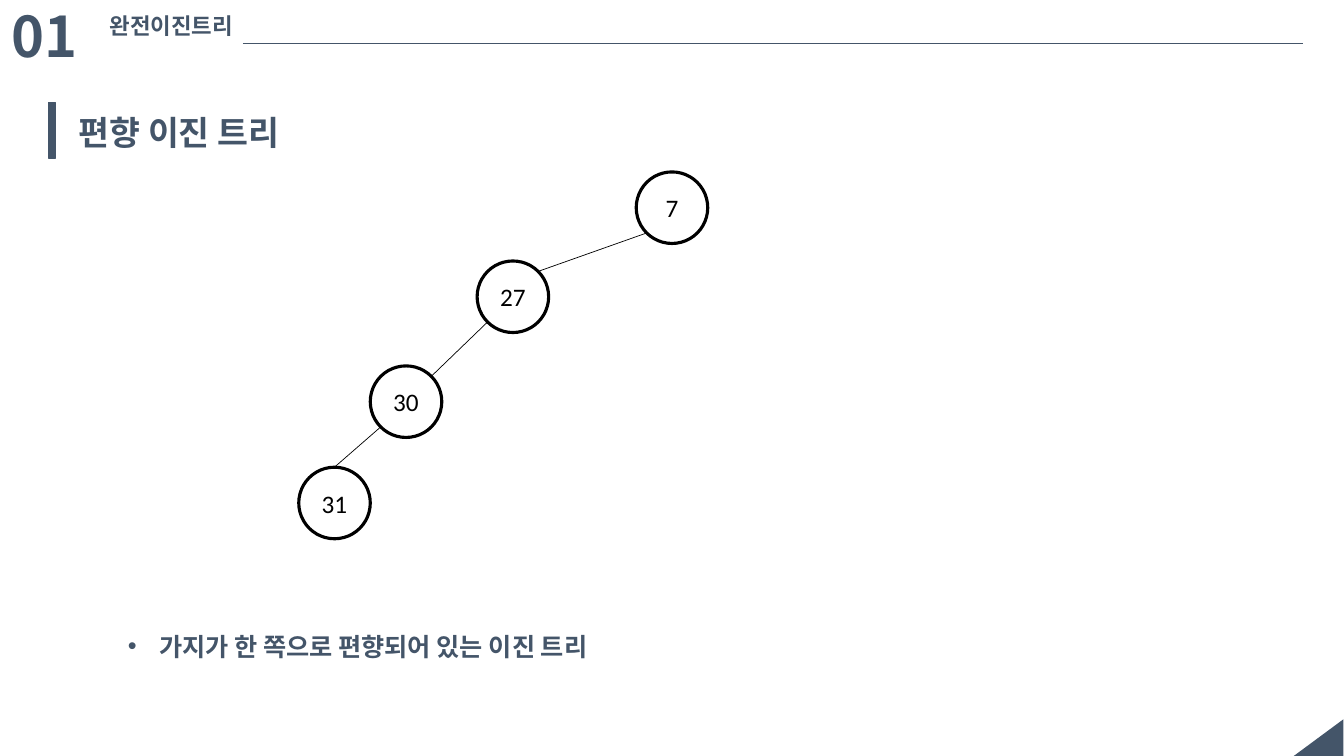
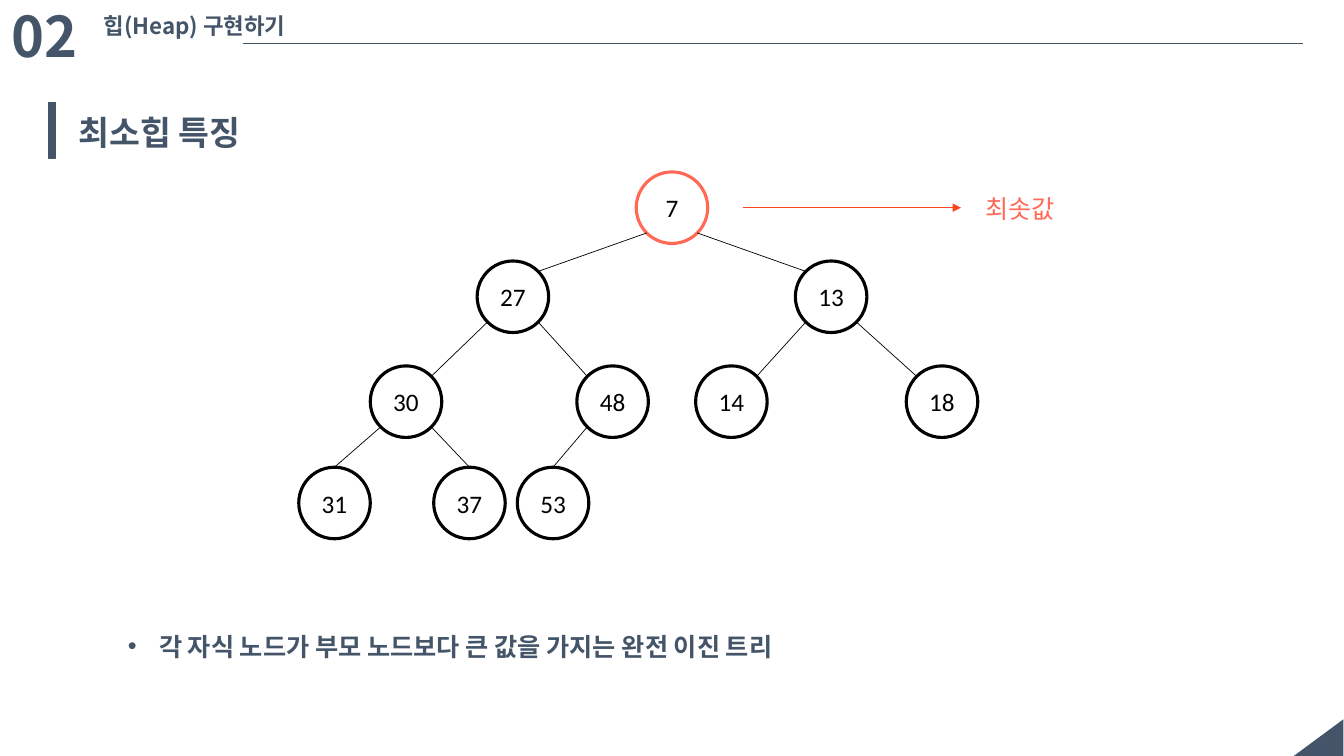
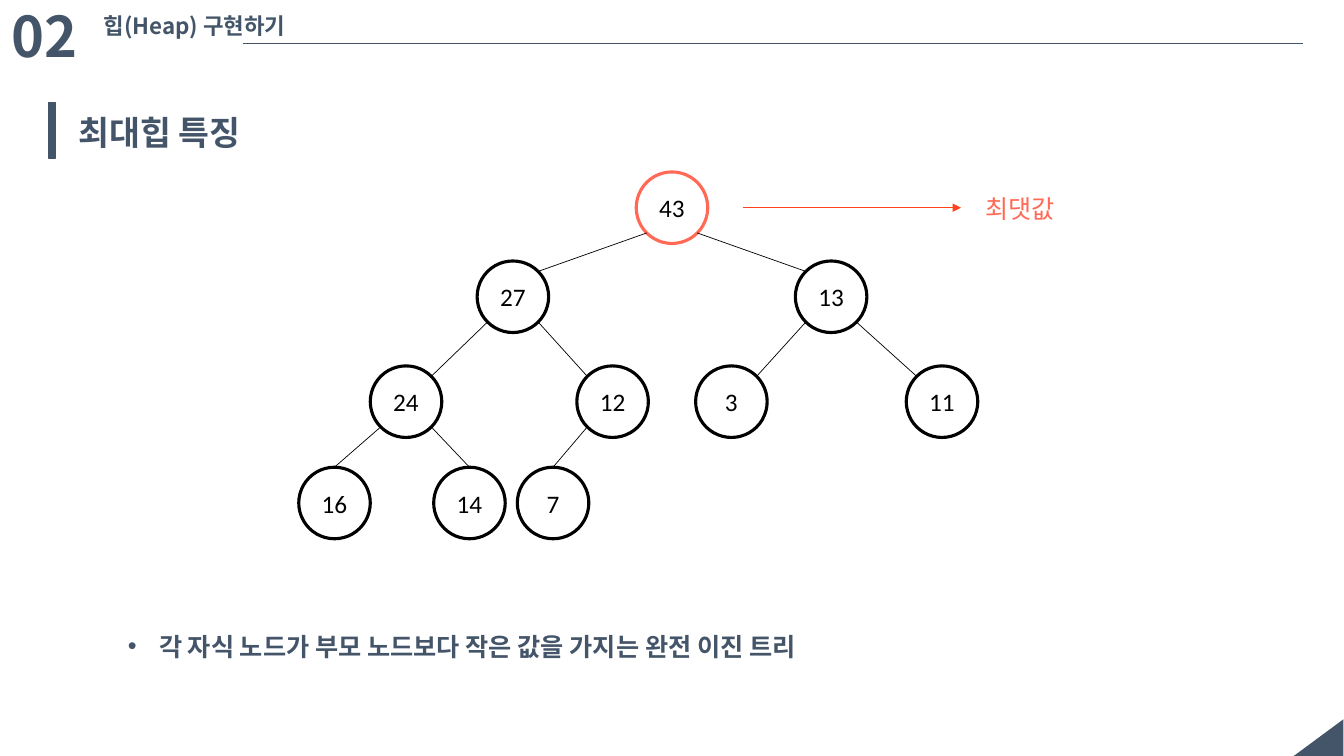
from dataclasses import dataclass
from math import sqrt

from lxml import etree
from pptx import Presentation
from pptx.dml.color import RGBColor
from pptx.enum.shapes import MSO_CONNECTOR, MSO_SHAPE
from pptx.enum.text import MSO_ANCHOR, MSO_AUTO_SIZE, PP_ALIGN
from pptx.oxml.ns import qn
from pptx.util import Inches, Pt

STRAIGHT = MSO_CONNECTOR.STRAIGHT
OVAL, RECTANGLE, TRIANGLE = MSO_SHAPE.OVAL, MSO_SHAPE.RECTANGLE, MSO_SHAPE.RIGHT_TRIANGLE
TOP, MIDDLE = MSO_ANCHOR.TOP, MSO_ANCHOR.MIDDLE
LEFT, CENTER = PP_ALIGN.LEFT, PP_ALIGN.CENTER
FIT_SHAPE, FIXED_SIZE = MSO_AUTO_SIZE.SHAPE_TO_FIT_TEXT, MSO_AUTO_SIZE.NONE


@dataclass(frozen=True)
class Theme:
    slate: RGBColor = RGBColor(0x44, 0x55, 0x69)
    black: RGBColor = RGBColor(0, 0, 0)
    coral: RGBColor = RGBColor(0xFF, 0x69, 0x56)
    arrow: RGBColor = RGBColor(0xFE, 0x43, 0x1E)
    korean: str = "Noto Sans CJK KR"
    latin: str = "Calibri"
    number: int = 40
    title: int = 24
    body: int = 18
    chapter: int = 16


THEME = Theme()

presentation = Presentation()
presentation.slide_width, presentation.slide_height = Inches(13.34), Inches(7.5)
COLUMN = presentation.slide_width / 100
ROW = presentation.slide_height / 100

# Left, top, width and height in hundredths of the slide
BOXES = {
    name: (round(left * COLUMN), round(top * ROW), round(width * COLUMN), round(height * ROW))
    for name, (left, top, width, height) in {
        "corner": (96.7, 94.27, 2.77, 6.67),
        "bar": (3.6, 13.6, 0.55, 7.33),
        "number": (0.15, -0.4, 9.52, 10.27),
        "01": (7.42, 0.93, 10.8, 4.93),
        "02": (6.97, 0.93, 15.9, 4.93),
        "title": (5.1, 14.13, 60.79, 6.67),
        "summary": (8.77, 80.8, 77.06, 7.33),
        "root label": (72.56, 24.87, 12.29, 5.33),
    }.items()
}

# Node centres in level order: the children of node n are 2n + 1 and 2n + 2
LEVELS = [
    (27.47, [50]),
    (39.25, [38.16, 61.84]),
    (53.13, [30.21, 45.58, 54.42, 70.09]),
    (66.53, [24.89, 34.93, 41.15]),
]
CENTERS = [(x * COLUMN, row * ROW) for row, columns in LEVELS for x in columns]
FIRST_LEAF = 7
RADIUS = 2.66 * COLUMN
DIAGONAL = RADIUS / sqrt(2)

# Chapter number, chapter, title, tree values, root label, summary
DECK = [
    ("01", "완전이진트리", "편향 이진 트리",
     [7, 27, None, 30, None, None, None, 31], None,
     "가지가 한 쪽으로 편향되어 있는 이진 트리"),
    ("02", "힙(Heap) 구현하기", "최소힙 특징",
     [7, 27, 13, 30, 48, 14, 18, 31, 37, 53], "최솟값",
     "각 자식 노드가 부모 노드보다 큰 값을 가지는 완전 이진 트리"),
    ("02", "힙(Heap) 구현하기", "최대힙 특징",
     [43, 27, 13, 24, 12, 3, 11, 16, 14, 7], "최댓값",
     "각 자식 노드가 부모 노드보다 작은 값을 가지는 완전 이진 트리"),
]


def write(shape, text, size, color=THEME.slate, font=THEME.korean, bold=True,
          align=LEFT, anchor=TOP, wrap=True, bullet=False, fit=FIT_SHAPE):
    frame = shape.text_frame
    frame.text = text
    frame.word_wrap = wrap
    frame.auto_size = fit
    frame.vertical_anchor = anchor
    paragraph = frame.paragraphs[0]
    paragraph.alignment = align
    properties = paragraph._p.get_or_add_pPr()
    if bullet:
        paragraph.line_spacing = 1.5
        properties.set("marL", str(Inches(0.31)))
        properties.set("indent", str(-Inches(0.31)))
        etree.SubElement(properties, qn("a:buFont")).set("typeface", "Arial")
        etree.SubElement(properties, qn("a:buChar")).set("char", "•")
    paragraph.font.size = Pt(size)
    paragraph.font.bold = bold
    paragraph.font.color.rgb = color
    paragraph.font.name = font
    run_defaults = properties.find(qn("a:defRPr"))
    run_defaults.set("kern", "0")
    etree.SubElement(run_defaults, qn("a:ea")).set("typeface", THEME.korean)


def draw_line(slide, start, end, color, width, arrow=False):
    line = slide.shapes.add_connector(STRAIGHT, *(round(value) for value in (*start, *end)))
    line.line.color.rgb = color
    line.line.width = Pt(width)
    properties = line.element.spPr
    if arrow:
        etree.SubElement(properties.find(qn("a:ln")), qn("a:tailEnd")).set("type", "triangle")
    etree.SubElement(properties, qn("a:effectLst"))
    return line


title_only = presentation.slide_layouts[5]
slides = [presentation.slides.add_slide(title_only) for _ in DECK]

# Shared decoration is drawn once and moved to the layout
corner = slides[0].shapes.add_shape(TRIANGLE, *BOXES["corner"])
corner.rotation = 270
bar = slides[0].shapes.add_shape(RECTANGLE, *BOXES["bar"])
for shape in (corner, bar):
    shape.shadow.inherit = False
    shape.fill.solid()
    shape.fill.fore_color.rgb = THEME.slate
corner.line.fill.background()
bar.line.color.rgb = THEME.slate
bar.line.width = Pt(1)
header_line = draw_line(slides[0], (18.07 * COLUMN, 5.73 * ROW), (96.93 * COLUMN, 5.73 * ROW),
                        THEME.slate, 0.75)
for identifier, shape in enumerate((corner, bar, header_line), 101):
    shape.element.xpath(".//p:cNvPr")[0].set("id", str(identifier))
    title_only.shapes.element.append(shape.element)

for slide, (number, chapter, title, values, root_label, summary) in zip(slides, DECK):
    shapes = slide.shapes
    heading = shapes.title
    heading.left, heading.top, heading.width, heading.height = BOXES["title"]
    write(heading, title, THEME.title)

    write(shapes.add_textbox(*BOXES["number"]), number, THEME.number)
    write(shapes.add_textbox(*BOXES[number]), chapter, THEME.chapter, wrap=False)
    write(shapes.add_textbox(*BOXES["summary"]), summary, THEME.body, bullet=True)

    for index, (value, (x, y)) in enumerate(zip(values, CENTERS)):
        if value is None:
            continue
        node = shapes.add_shape(OVAL, round(x - RADIUS), round(y - RADIUS),
                                round(2 * RADIUS), round(2 * RADIUS))
        node.shadow.inherit = False
        node.fill.background()
        is_labelled_root = index == 0 and root_label
        node.line.color.rgb = THEME.coral if is_labelled_root else THEME.black
        node.line.width = Pt(2.25)
        write(node, str(value), THEME.body, THEME.black, THEME.latin, bold=False,
              align=CENTER, anchor=MIDDLE, fit=FIXED_SIZE)
        if index:
            parent_x, parent_y = CENTERS[(index - 1) // 2]
            side = DIAGONAL if x > parent_x else -DIAGONAL
            end = (x, y - RADIUS) if index >= FIRST_LEAF else (x - side, y - DIAGONAL)
            draw_line(slide, (parent_x + side, parent_y + DIAGONAL), end, THEME.black, 0.5)

    if root_label:
        root_y = CENTERS[0][1]
        draw_line(slide, (55.25 * COLUMN, root_y), (71.51 * COLUMN, root_y),
                  THEME.arrow, 0.5, arrow=True)
        write(shapes.add_textbox(*BOXES["root label"]), root_label, THEME.body,
              THEME.coral, THEME.latin, bold=False)

presentation.save("out.pptx")
